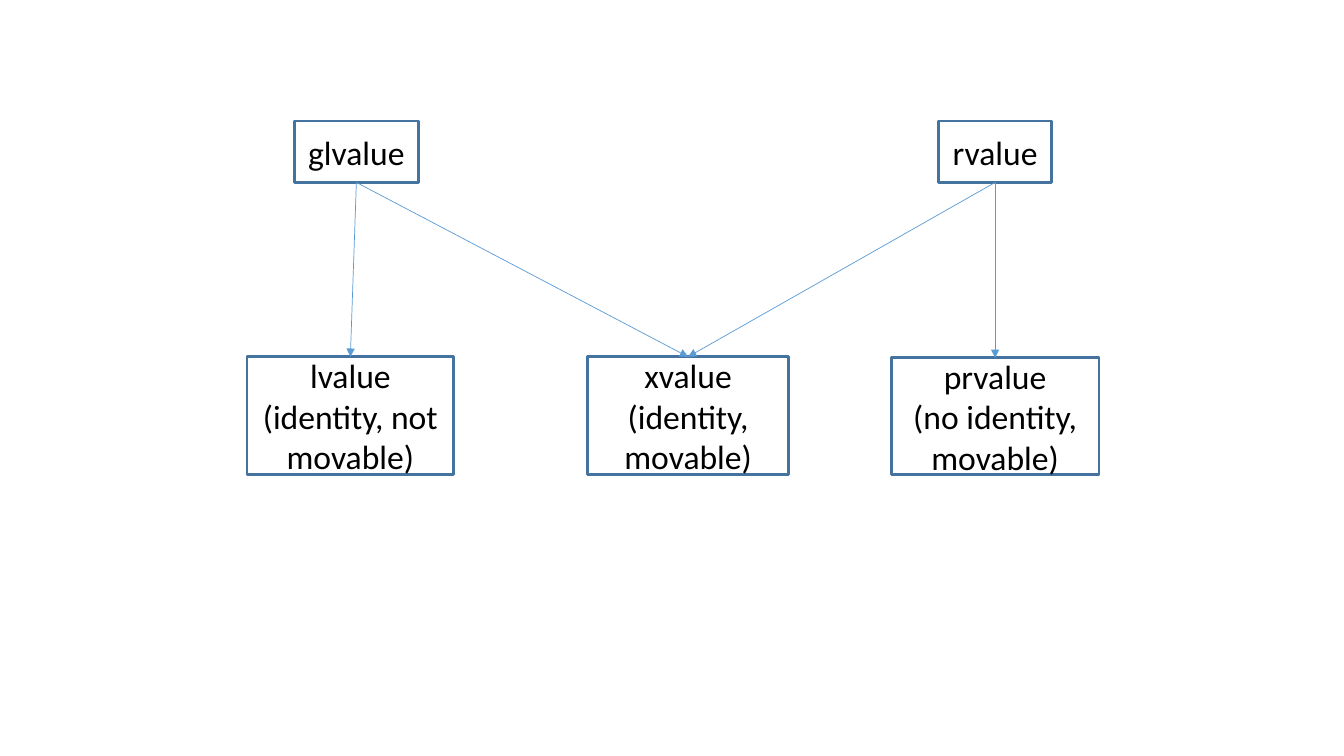
"""Draw the C++ value category tree as boxes joined by arrows."""
from dataclasses import dataclass

from lxml.etree import SubElement
from pptx import Presentation
from pptx.dml.color import RGBColor
from pptx.enum.shapes import MSO_CONNECTOR, MSO_SHAPE
from pptx.enum.text import MSO_ANCHOR, PP_ALIGN
from pptx.oxml.ns import qn
from pptx.util import Inches, Pt


@dataclass(frozen=True)
class Theme:
    font: str = "Calibri"
    size: Pt = Pt(24)
    text: RGBColor = RGBColor(0x00, 0x00, 0x00)
    border: RGBColor = RGBColor(0x43, 0x73, 0x9E)
    border_width: Pt = Pt(2)
    arrow: RGBColor = RGBColor(0x5B, 0x9B, 0xD5)
    arrow_width: Pt = Pt(0.5)


TOP, BOTTOM = 0, 2

BOXES = {
    "rvalue": (None, 9.31, 1.2, 1.12, 0.61),
    "glvalue": (None, 2.92, 1.2, 1.23, 0.61),
    "xvalue": ("(identity, movable)", 5.83, 3.54, 1.99, 1.17),
    "lvalue": ("(identity, not movable)", 2.45, 3.54, 2.05, 1.17),
    "prvalue": ("(no identity, movable)", 8.84, 3.55, 2.06, 1.16),
}

ARROWS = [
    ("glvalue", "lvalue"),
    ("rvalue", "prvalue"),
    ("glvalue", "xvalue"),
    ("rvalue", "xvalue"),
]


class Diagram:
    def __init__(self, slide, theme):
        self.slide = slide
        self.theme = theme

    def box(self, lines, x, y, w, h):
        sp = self.slide.shapes.add_shape(
            MSO_SHAPE.RECTANGLE, *(Inches(v) for v in (x, y, w, h)))
        sp.shadow.inherit = False
        sp.fill.background()
        sp.line.color.rgb = self.theme.border
        sp.line.width = self.theme.border_width
        tf = sp.text_frame
        tf.word_wrap = True
        tf.vertical_anchor = MSO_ANCHOR.MIDDLE
        tf.text = "\n".join(lines)
        style = {"name": self.theme.font, "size": self.theme.size}
        for p in tf.paragraphs:
            p.alignment = PP_ALIGN.CENTER
            for r in p.runs:
                for key, value in style.items():
                    setattr(r.font, key, value)
                r.font.color.rgb = self.theme.text
        return sp

    def arrow(self, parent, child):
        cxn = self.slide.shapes.add_connector(MSO_CONNECTOR.STRAIGHT, 0, 0, 0, 0)
        cxn.begin_connect(parent, BOTTOM)
        cxn.end_connect(child, TOP)
        cxn.line.color.rgb = self.theme.arrow
        cxn.line.width = self.theme.arrow_width
        spPr = cxn._element.spPr
        SubElement(spPr.get_or_add_ln(), qn("a:tailEnd"), type="triangle")
        SubElement(spPr, qn("a:effectLst"))


def main():
    prs = Presentation()
    prs.slide_width, prs.slide_height = Inches(13.33), Inches(7.5)
    blank = prs.slide_layouts.get_by_name("Blank")
    diagram = Diagram(prs.slides.add_slide(blank), Theme())
    shapes = {}
    for name, (note, *place) in BOXES.items():
        lines = [name, note] if note else [name]
        shapes[name] = diagram.box(lines, *place)
    for parent, child in ARROWS:
        diagram.arrow(shapes[parent], shapes[child])
    prs.save("out.pptx")


if __name__ == "__main__":
    main()
